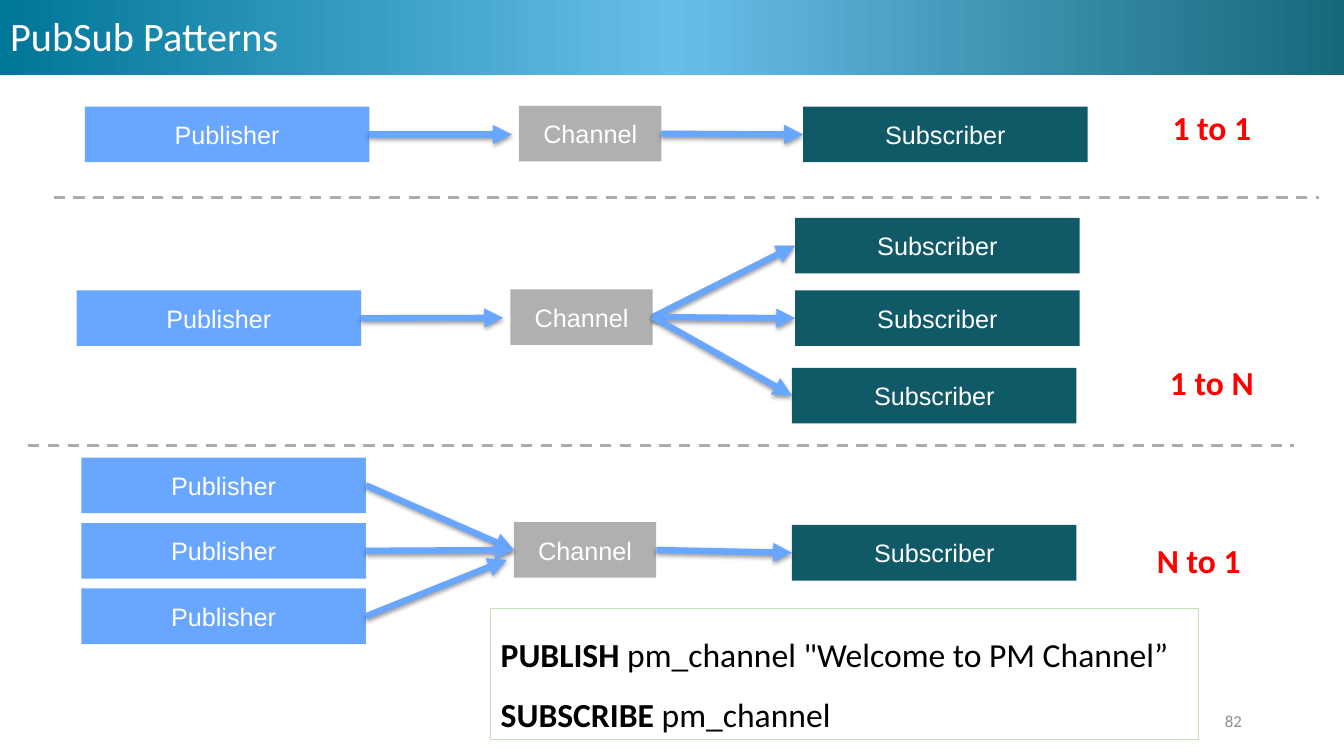
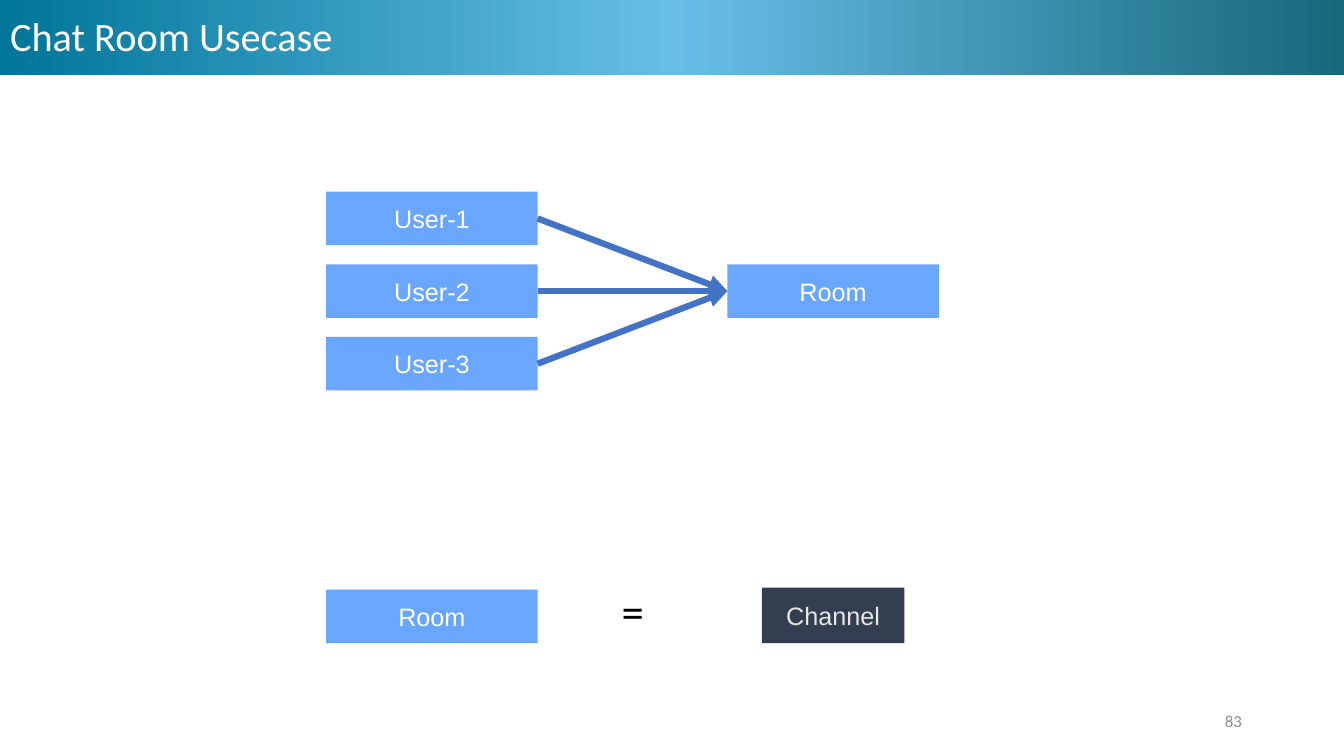
from copy import deepcopy
from lxml.etree import SubElement
from pptx import Presentation
from pptx.dml.color import RGBColor as RGB
from pptx.enum.dml import MSO_LINE as DASH
from pptx.enum.shapes import MSO_CONNECTOR as CONN, MSO_SHAPE as SHAPE
from pptx.enum.text import MSO_ANCHOR as ANCHOR, MSO_AUTO_SIZE as FIT, PP_ALIGN as ALIGN
from pptx.oxml.ns import qn
from pptx.util import Cm, Pt

PUB, SUB, CHAN = "Publisher", "Subscriber", "Channel"
SHORT, LOW = (-0.18, 0.02), (-0.18, 0.25)

SLIDES = [
    {
        "title": "PubSub Patterns",
        "page": "82",
        "boxes": {
            "p1": ("publisher", PUB, 2.14, 2.69),
            "c1": ("channel", CHAN, 13.08, 2.67),
            "s1": ("subscriber", SUB, 20.24, 2.69),
            "p2": ("publisher", PUB, 1.93, 7.32),
            "c2": ("channel", CHAN, 12.86, 7.29),
            "s2a": ("subscriber", SUB, 20.04, 5.49),
            "s2b": ("subscriber", SUB, 20.04, 7.32),
            "s2c": ("subscriber", SUB, 19.96, 9.27),
            **{f"p3{k}": ("publisher", PUB, 2.05, 11.53 + 1.65 * i)
               for i, k in enumerate("abc")},
            "c3": ("channel", CHAN, 12.95, 13.16),
            "s3": ("subscriber", SUB, 19.96, 13.23),
        },
        "arrow": "flow",
        "links": [
            ("p1", "c1", SHORT), ("c1", "s1", None),
            ("p2", "c2", SHORT), ("c2", "s2a", None),
            ("c2", "s2b", None), ("c2", "s2c", None),
            ("p3a", "c3", None), ("p3b", "c3", None),
            ("p3c", "c3", LOW), ("c3", "s3", None),
        ],
        "dividers": [(1.35, 4.98), (0.71, 11.23)],
        "texts": [
            ("label", [[("1 to 1", True)]], (28.75, 2.69, 3.58, 1.02)),
            ("label", [[("1 to N", True)]], (28.75, 9.12, 3.58, 1.02)),
            ("label", [[("N to 1", True)]], (28.42, 13.61, 3.58, 1.02)),
            ("commands", [
                [("PUBLISH ", True), ('pm_channel "Welcome to PM Channel”', False)],
                [("SUBSCRIBE ", True), ("pm_channel", False)],
            ], (12.37, 15.34, 17.83, 3.3)),
        ],
    },
    {
        "title": "Chat Room Usecase",
        "page": "83",
        "boxes": {
            **{f"u{i}": ("user", f"User-{i}", 8.22, 3.0 + 1.83 * i)
               for i in (1, 2, 3)},
            "room": ("user", "Room", 18.33, 6.66),
            "room_term": ("user", "Room", 8.22, 14.86),
            "channel_term": ("dark", CHAN, 19.2, 14.81),
        },
        "arrow": "join",
        "links": [(f"u{i}", "room", None) for i in (1, 2, 3)],
        "dividers": [],
        "texts": [("equals", [[("=", False)]], (14.45, 14.58, 3, 1.63))],
    },
]

BOX = {"size": 18, "font": "Arial", "color": "FFFFFF", "align": ALIGN.CENTER,
       "anchor": ANCHOR.MIDDLE, "inset": 0, "w": 7.17, "h": 1.4}
TEXT = {"size": 24, "font": "Calibri", "color": "000000", "align": ALIGN.CENTER,
        "anchor": ANCHOR.MIDDLE}
THEME = {
    "band": [("17687B", 0), ("67BEE8", 0.5), ("007698", 1)],
    "styles": {
        "title": {**TEXT, "size": 28.8, "color": "FFFFFF", "align": ALIGN.LEFT,
                  "spacing": 0.9},
        "page": {**TEXT, "size": 12, "color": "8C8C8C", "align": ALIGN.RIGHT},
        "label": {**TEXT, "color": "FF0000"},
        "equals": {**TEXT, "size": 32, "anchor": ANCHOR.TOP},
        "commands": {**TEXT, "align": ALIGN.LEFT, "anchor": ANCHOR.TOP,
                     "spacing": 1.5, "line": "C5E0B4"},
        "publisher": {**BOX, "fill": "69A6FF"},
        "subscriber": {**BOX, "fill": "105A68"},
        "channel": {**BOX, "fill": "B0B0B0", "w": 3.59},
        "user": {**BOX, "fill": "69A6FF", "w": 5.33, "h": 1.35},
        "dark": {**BOX, "fill": "333F50", "color": "E7E6E6", "w": 3.59},
    },
    "lines": {
        "flow": {"color": "69A6FF", "width": 4.5, "arrow": True, "shadow": True},
        "join": {"color": "4472C4", "width": 4.5, "arrow": True},
        "divider": {"color": "AFABAB", "width": 2, "dash": DASH.DASH},
    },
}
WIDTH, HEIGHT = 33.87, 19.05
TITLE_AT = (0, 0.24, 29.21, 1.45)
PAGE_AT = (23.93, 17.65, 7.62, 1.02)
DIVIDER = 31.9


def assign(obj, **values):
    for name, value in values.items():
        setattr(obj, name, value)


def cms(values):
    return [Cm(v) for v in values]


def write(tf, paras, st):
    assign(tf, word_wrap=True, auto_size=FIT.NONE, vertical_anchor=st["anchor"])
    if "inset" in st:
        for side in ("left", "top", "right", "bottom"):
            setattr(tf, f"margin_{side}", Cm(st["inset"]))
    for i, runs in enumerate(paras):
        p = tf.add_paragraph() if i else tf.paragraphs[0]
        assign(p, alignment=st["align"], line_spacing=st.get("spacing", 1.0))
        for text, bold in runs:
            r = p.add_run()
            r.text = text
            assign(r.font, name=st["font"], size=Pt(st["size"]), bold=bold)
            r.font.color.rgb = RGB.from_string(st["color"])


def add_box(s, style, paras, at):
    st = THEME["styles"][style]
    if "fill" in st or "line" in st:
        sp = s.shapes.add_shape(SHAPE.RECTANGLE, *cms(at))
        sp.shadow.inherit = False
        for part, paint in (("fill", sp.fill), ("line", sp.line.fill)):
            if part in st:
                paint.solid()
                paint.fore_color.rgb = RGB.from_string(st[part])
            else:
                paint.background()
        if "line" in st:
            sp.line.width = Pt(0.75)
    else:
        sp = s.shapes.add_textbox(*cms(at))
    write(sp.text_frame, paras, st)
    return sp


def add_line(s, style, start, end):
    st = THEME["lines"][style]
    cx = s.shapes.add_connector(CONN.STRAIGHT, *start, *end)
    cx.line.color.rgb = RGB.from_string(st["color"])
    cx.line.width = Pt(st["width"])
    if "dash" in st:
        cx.line.dash_style = st["dash"]
    if "arrow" in st:
        SubElement(cx.line._get_or_add_ln(), qn("a:tailEnd"), type="triangle")
    effects = SubElement(cx._element.spPr, qn("a:effectLst"))
    if "shadow" in st:
        shadow = SubElement(effects, qn("a:outerShdw"), blurRad="40000",
                            dist="20000", dir="5400000", rotWithShape="0")
        black = SubElement(shadow, qn("a:srgbClr"), val="000000")
        SubElement(black, qn("a:alpha"), val="38000")
    return cx


def link(s, style, a, b, offset):
    dx, dy = cms(offset or (0, 0))
    start = a.left + a.width, a.top + a.height // 2
    end = b.left + dx, b.top + b.height // 2 + dy
    cx = add_line(s, style, start, end)
    cx.begin_connect(a, 3)
    if not offset:
        cx.end_connect(b, 1)


def add_band(s, layout):
    band = s.shapes.add_shape(SHAPE.RECTANGLE, *cms((0, 0, WIDTH, 1.89)))
    band.shadow.inherit = False
    band.line.fill.background()
    band.fill.gradient()
    band.fill.gradient_angle = 180
    stops = band._element.spPr.find(qn("a:gradFill")).find(qn("a:gsLst"))
    stops.insert(1, deepcopy(stops[0]))
    for stop, (color, position) in zip(band.fill.gradient_stops, THEME["band"]):
        stop.color.rgb = RGB.from_string(color)
        stop.position = position
    layout.shapes._spTree.insert(2, band._element)


def place(sp, at):
    assign(sp, **dict(zip(("left", "top", "width", "height"), cms(at))))


def build(prs, layout, data):
    s = prs.slides.add_slide(layout)
    write(s.shapes.title.text_frame, [[(data["title"], False)]], THEME["styles"]["title"])
    boxes = {}
    for key, (style, text, left, top) in data["boxes"].items():
        st = THEME["styles"][style]
        boxes[key] = add_box(s, style, [[(text, False)]], (left, top, st["w"], st["h"]))
    for a, b, offset in data["links"]:
        link(s, data["arrow"], boxes[a], boxes[b], offset)
    for left, top in data["dividers"]:
        add_line(s, "divider", cms((left, top)), cms((left + DIVIDER, top)))
    for text in data["texts"]:
        add_box(s, *text)
    add_box(s, "page", [[(data["page"], False)]], PAGE_AT)
    return s


def main():
    prs = Presentation()
    assign(prs, slide_width=Cm(WIDTH), slide_height=Cm(HEIGHT))
    layout = prs.slide_layouts[5]
    place(layout.placeholders[0], TITLE_AT)
    slides = [build(prs, layout, data) for data in SLIDES]
    add_band(slides[0], layout)
    prs.save("out.pptx")


if __name__ == "__main__":
    main()
